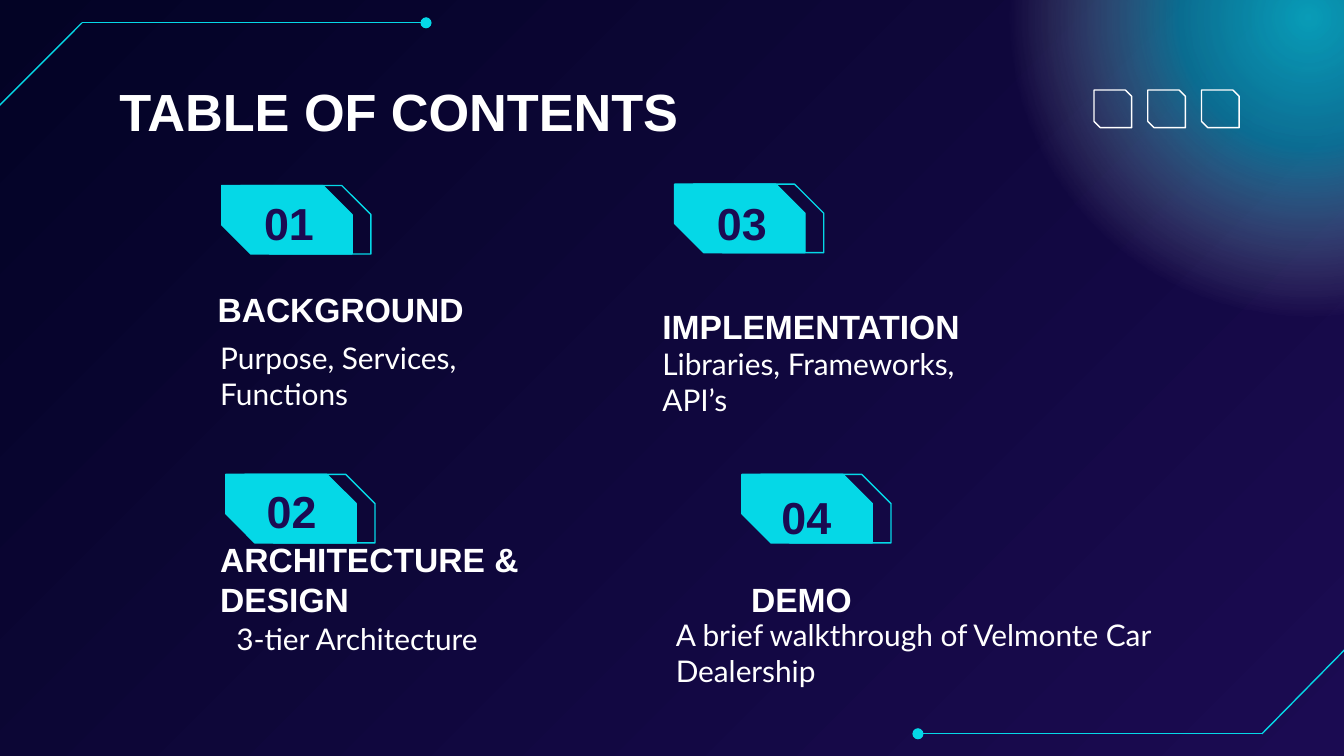
"""Build a dark table-of-contents slide with four numbered sections."""
from lxml.etree import SubElement
from pptx import Presentation
from pptx.dml.color import RGBColor
from pptx.enum.shapes import MSO_CONNECTOR as Connector, MSO_SHAPE as Shape
from pptx.enum.text import MSO_ANCHOR as Anchor, PP_ALIGN as Align
from pptx.oxml import parse_xml
from pptx.oxml.ns import nsdecls, qn
from pptx.util import Inches, Pt

CYAN = RGBColor(0x05, 0xD8, 0xE7)
WHITE = RGBColor(0xFF, 0xFF, 0xFF)
INDIGO = RGBColor(0x1B, 0x0B, 0x52)
MIDNIGHT = RGBColor(0x03, 0x03, 0x25)

TITLE = ("TABLE OF CONTENTS", (0.79, 0.49, 7.85, 0.63))
SECTIONS = [
    {"badge": (1.65, 1.38), "number": ("01", 1.81, 1.35),
     "heading": ("BACKGROUND", (1.39, 2.05, 2.61, 0.5)), "indent": (0.5, -0.37),
     "detail": ("Purpose, Services, Functions", (1.54, 2.43, 2.61, 0.91))},
    {"badge": (1.68, 3.53), "number": ("02", 1.83, 3.49),
     "heading": ("ARCHITECTURE & DESIGN", (1.54, 4.21, 2.61, 0.5)),
     "detail": ("3-tier Architecture", (1.66, 4.52, 2.61, 0.64))},
    {"badge": (5.02, 1.37), "number": ("03", 5.18, 1.35),
     "heading": ("IMPLEMENTATION", (4.83, 2.18, 2.61, 0.5)),
     "detail": ("Libraries, Frameworks, API’s", (4.83, 2.47, 2.61, 0.64))},
    {"badge": (5.52, 3.53), "number": ("04", 5.66, 3.54),
     "heading": ("DEMO", (5.49, 4.21, 2.61, 0.5)),
     "detail": ("A brief walkthrough of Velmonte Car Dealership", (4.93, 4.49, 4.29, 0.64))},
]
CORNER_LINES = [
    [(-0.02, 0.8), (0.61, 0.17), (3.17, 0.17)],
    [(10.02, 4.82), (9.39, 5.46), (6.83, 5.46)],
]
GLOW_BOX = (7.45, -2.15, 4.56, 4.56)
GLOW_STOPS = [(0, CYAN, 71), (30, CYAN, 48), (69, WHITE, 0), (100, WHITE, 0)]
BADGE_SIZE, BADGE_SHIFT, BADGE_SNIP = (0.97, 0.51), 0.14, 0.426
NUMBER_SIZE = (0.68, 0.61)
SQUARE_LEFT, SQUARE_TOP, SQUARE_SIDE, SQUARE_STEP, SQUARE_SNIP = 8.14, 0.67, 0.28, 0.4, 0.167

TITLE_FONT = {"name": "Arial", "size": Pt(28), "bold": True}
NUMBER_FONT = {"name": "Arial", "size": Pt(24), "bold": True}
HEADING_FONT = {"name": "Arial", "size": Pt(18), "bold": True}
DETAIL_FONT = {"name": "Lato", "size": Pt(16), "bold": False}
INSETS = ("margin_left", "margin_top", "margin_right", "margin_bottom")


def set_background(slide):
    fill = slide.background.fill
    fill.gradient()
    fill.gradient_angle = 315
    for stop, color, position in zip(fill.gradient_stops, (MIDNIGHT, INDIGO), (0, 1)):
        stop.color.rgb = color
        stop.position = position


def add_glow(slide):
    glow = slide.shapes.add_shape(Shape.OVAL, *map(Inches, GLOW_BOX))
    glow.shadow.inherit = False
    glow.line.fill.background()
    stops = "".join(
        f'<a:gs pos="{position * 1000}"><a:srgbClr val="{color}">'
        f'<a:alpha val="{alpha * 1000}"/></a:srgbClr></a:gs>'
        for position, color, alpha in GLOW_STOPS)
    gradient = parse_xml(
        f'<a:gradFill {nsdecls("a")}><a:gsLst>{stops}</a:gsLst><a:path path="circle">'
        '<a:fillToRect l="50000" t="50000" r="50000" b="50000"/></a:path></a:gradFill>')
    glow._element.spPr.find(qn("a:prstGeom")).addnext(gradient)


def add_line(slide, start, end, dot):
    line = slide.shapes.add_connector(Connector.STRAIGHT, *map(Inches, start + end))
    line.line.color.rgb = CYAN
    line.line.width = Pt(0.75)
    if dot:
        SubElement(line.line._get_or_add_ln(), qn("a:tailEnd"), type="oval")
    SubElement(line._element.spPr, qn("a:effectLst"))


def add_snipped(slide, box, snip, color, filled=False):
    shape = slide.shapes.add_shape(Shape.SNIP_2_DIAG_RECTANGLE, *map(Inches, box))
    shape.shadow.inherit = False
    shape.adjustments[0] = 0
    shape.adjustments[1] = snip
    shape.line.color.rgb = color
    shape.line.width = Pt(0.75)
    if filled:
        shape.fill.solid()
        shape.fill.fore_color.rgb = color
    else:
        shape.fill.background()


def add_text(slide, text, box, font, color=WHITE, anchor=Anchor.TOP, align=Align.LEFT):
    frame = slide.shapes.add_textbox(*map(Inches, box)).text_frame
    frame.word_wrap = True
    frame.vertical_anchor = anchor
    for inset in INSETS:
        setattr(frame, inset, Inches(0.1))
    paragraph = frame.paragraphs[0]
    paragraph.alignment = align
    run = paragraph.add_run()
    run.text = text
    for name, value in font.items():
        setattr(run.font, name, value)
    run.font.color.rgb = color
    return paragraph


def add_section(slide, section):
    left, top = section["badge"]
    add_snipped(slide, (left + BADGE_SHIFT, top, *BADGE_SIZE), BADGE_SNIP, CYAN)
    add_snipped(slide, (left, top, *BADGE_SIZE), BADGE_SNIP, CYAN, filled=True)
    number, *corner = section["number"]
    add_text(slide, number, (*corner, *NUMBER_SIZE), NUMBER_FONT, INDIGO, Anchor.MIDDLE, Align.CENTER)
    heading = add_text(slide, *section["heading"], HEADING_FONT, anchor=Anchor.BOTTOM)
    detail = add_text(slide, *section["detail"], DETAIL_FONT)
    detail.space_after = Pt(12)
    if "indent" in section:
        for name, value in zip(("marL", "indent"), section["indent"]):
            heading._p.get_or_add_pPr().set(name, str(Inches(value)))
    else:
        heading.space_after = Pt(12)


def main():
    presentation = Presentation()
    presentation.slide_width = Inches(10)
    presentation.slide_height = presentation.slide_width * 9 // 16
    slide = presentation.slides.add_slide(presentation.slide_layouts[6])
    set_background(slide)
    add_glow(slide)
    for outer, corner, end in CORNER_LINES:
        add_line(slide, outer, corner, dot=False)
        add_line(slide, corner, end, dot=True)
    add_text(slide, *TITLE, TITLE_FONT)
    for section in SECTIONS:
        add_section(slide, section)
    for index in range(3):
        left = SQUARE_LEFT + index * SQUARE_STEP
        add_snipped(slide, (left, SQUARE_TOP, SQUARE_SIDE, SQUARE_SIDE), SQUARE_SNIP, WHITE)
    presentation.save("out.pptx")


if __name__ == "__main__":
    main()
